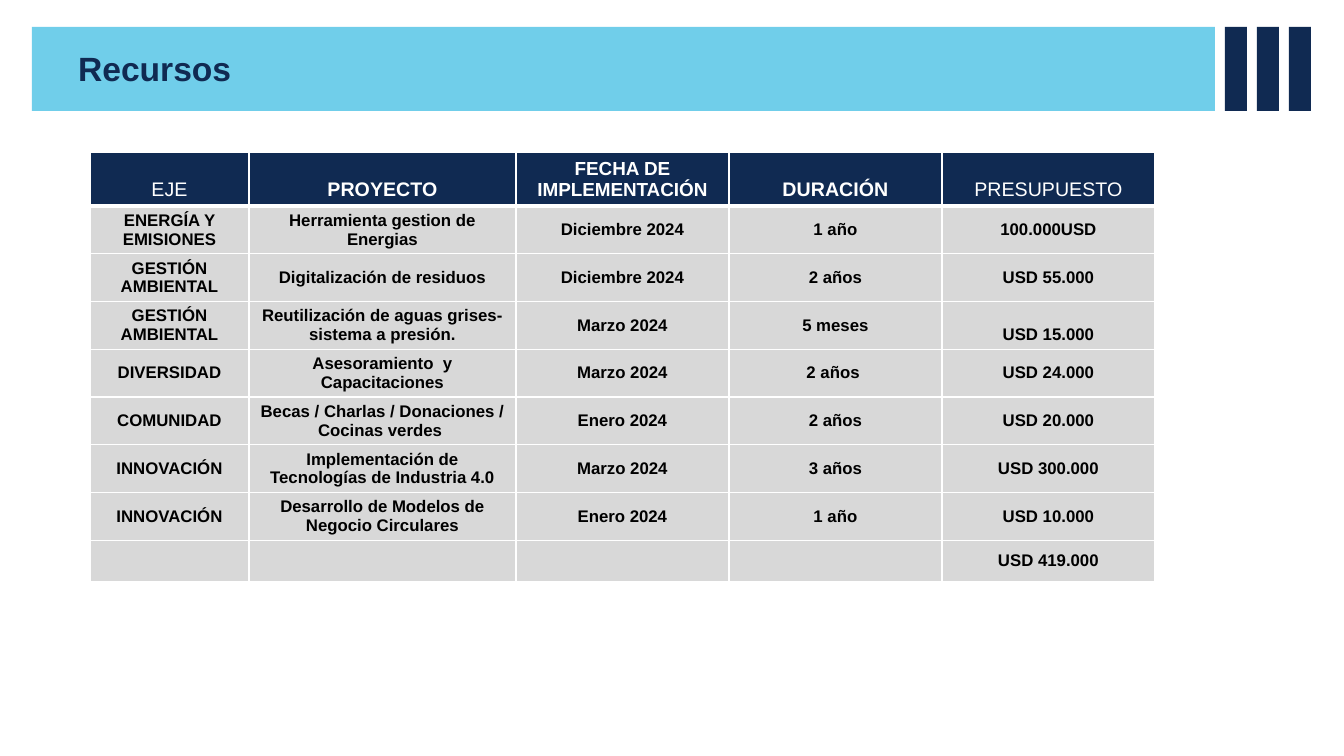
import pptx
import pptx.dml.color
import pptx.enum.shapes
import pptx.enum.text
import pptx.oxml
import pptx.oxml.ns
import pptx.util

NAVY = pptx.dml.color.RGBColor(0x10, 0x2A, 0x52)
SKY = pptx.dml.color.RGBColor(0x70, 0xCE, 0xEA)
GREY = pptx.dml.color.RGBColor(0xD8, 0xD8, 0xD8)
WHITE = pptx.dml.color.RGBColor(0xFF, 0xFF, 0xFF)
BLACK = pptx.dml.color.RGBColor(0x00, 0x00, 0x00)
ANCHOR = pptx.enum.text.MSO_ANCHOR
ALIGN = pptx.enum.text.PP_ALIGN


def px(*lengths):
    """Turn pixels (100.8 to the inch) into EMU."""
    return [pptx.util.Emu(round(length * 914400 / 100.8)) for length in lengths]


def write(frame, text, align, color, **format_values):
    para = frame.paragraphs[0]
    para.text = text
    para.alignment = align
    for name, value in format_values.items():
        setattr(para.font, name, value)
    para.font.name = "Arial"
    para.font.color.rgb = color


deck = pptx.Presentation()
deck.slide_width, deck.slide_height = px(1344, 756)
slide = deck.slides.add_slide(deck.slide_layouts[5])

# Resources table
HEADERS = ["EJE", "PROYECTO", "FECHA DE IMPLEMENTACIÓN", "DURACIÓN", "PRESUPUESTO"]
PROJECTS = [
    ["ENERGÍA Y EMISIONES", "Herramienta gestion de Energias", "Diciembre 2024", "1 año", "100.000USD"],
    ["GESTIÓN AMBIENTAL", "Digitalización de residuos", "Diciembre 2024", "2 años", "USD 55.000"],
    ["GESTIÓN AMBIENTAL", "Reutilización de aguas grises- sistema a presión.", "Marzo 2024", "5 meses", "USD 15.000"],
    ["DIVERSIDAD", "Asesoramiento  y Capacitaciones", "Marzo 2024", "2 años ", "USD 24.000"],
    ["COMUNIDAD", "Becas / Charlas / Donaciones / Cocinas verdes ", "Enero 2024", "2 años", "USD 20.000"],
    ["INNOVACIÓN", "Implementación de Tecnologías de Industria 4.0", "Marzo 2024", "3 años", "USD 300.000"],
    ["INNOVACIÓN", "Desarrollo de Modelos de Negocio Circulares", "Enero 2024", "1 año", "USD 10.000"],
    ["", "", "", "", "USD 419.000"],
]
COLUMN_WIDTHS = [159, 267, 213, 213, 213]
ROW_HEIGHTS = [54] + [41] * len(PROJECTS)
LIGHT_HEADERS = ("EJE", "PRESUPUESTO")
LOW_BUDGET = "USD 15.000"

table = slide.shapes.add_table(
    len(ROW_HEIGHTS), len(COLUMN_WIDTHS),
    *px(90, 152, sum(COLUMN_WIDTHS), sum(ROW_HEIGHTS))).table
table.horz_banding = False
for column, width in zip(table.columns, px(*COLUMN_WIDTHS)):
    column.width = width
for row, height in zip(table.rows, px(*ROW_HEIGHTS)):
    row.height = height

for row_index, texts in enumerate([HEADERS] + PROJECTS):
    is_header = row_index == 0
    for column_index, text in enumerate(texts):
        cell = table.cell(row_index, column_index)
        cell.fill.solid()
        cell.fill.fore_color.rgb = NAVY if is_header else GREY
        low = is_header or text == LOW_BUDGET
        cell.vertical_anchor = ANCHOR.BOTTOM if low else ANCHOR.MIDDLE
        size = 12
        if is_header:
            size = 13.5 if text.startswith("FECHA") else 14
        write(cell.text_frame, text, ALIGN.CENTER, WHITE if is_header else BLACK,
              size=pptx.util.Pt(size), bold=text not in LIGHT_HEADERS)

        # Borders come before the fill in the cell properties
        properties = cell._tc.get_or_add_tcPr()
        for position, side in enumerate("LRTB"):
            heavy = (is_header and side == "B") or (row_index == 1 and side == "T")
            border = pptx.oxml.parse_xml(
                f'<a:ln{side} {pptx.oxml.ns.nsdecls("a")} w="{38100 if heavy else 12700}">'
                f'<a:solidFill><a:srgbClr val="{WHITE}"/></a:solidFill></a:ln{side}>')
            properties.insert(position, border)

# Title band and three bars
BAR_LEFT, BAR_STEP, BAR_WIDTH = 1225, 32, 22
blocks = [(32, 1183, SKY)]
blocks += [(BAR_LEFT + BAR_STEP * i, BAR_WIDTH, NAVY) for i in range(3)]
for left, width, color in blocks:
    block = slide.shapes.add_shape(
        pptx.enum.shapes.MSO_SHAPE.RECTANGLE, *px(left, 27, width, 84))
    block.shadow.inherit = False
    block.fill.solid()
    block.fill.fore_color.rgb = color
    block.line.fill.background()

# Title, brought in front of the band
title = slide.shapes.title
title.left, title.top, title.width, title.height = px(68, 43, 980, 50)
title.text_frame.vertical_anchor = ANCHOR.TOP
title.text_frame.auto_size = pptx.enum.text.MSO_AUTO_SIZE.NONE
write(title.text_frame, "Recursos", ALIGN.LEFT, NAVY, size=pptx.util.Pt(24), bold=True)
slide.shapes._spTree.append(title._element)

deck.save("out.pptx")
